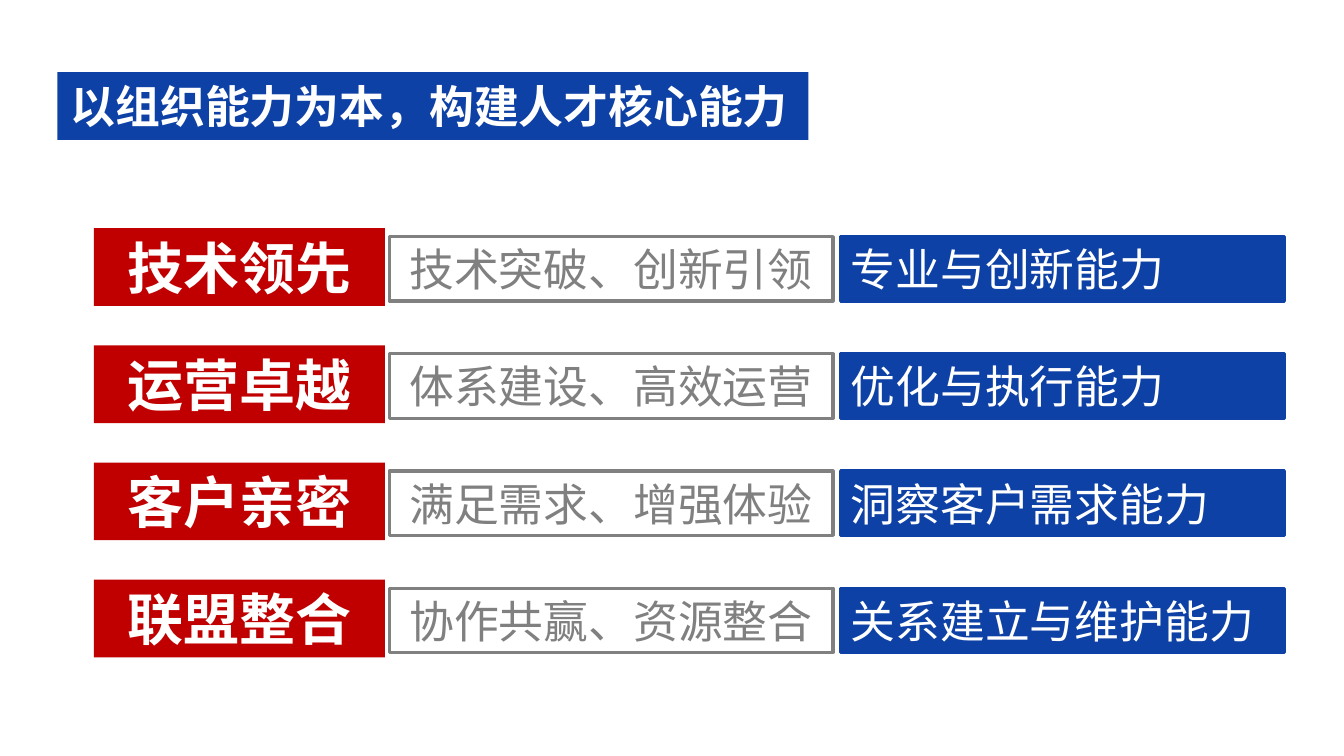
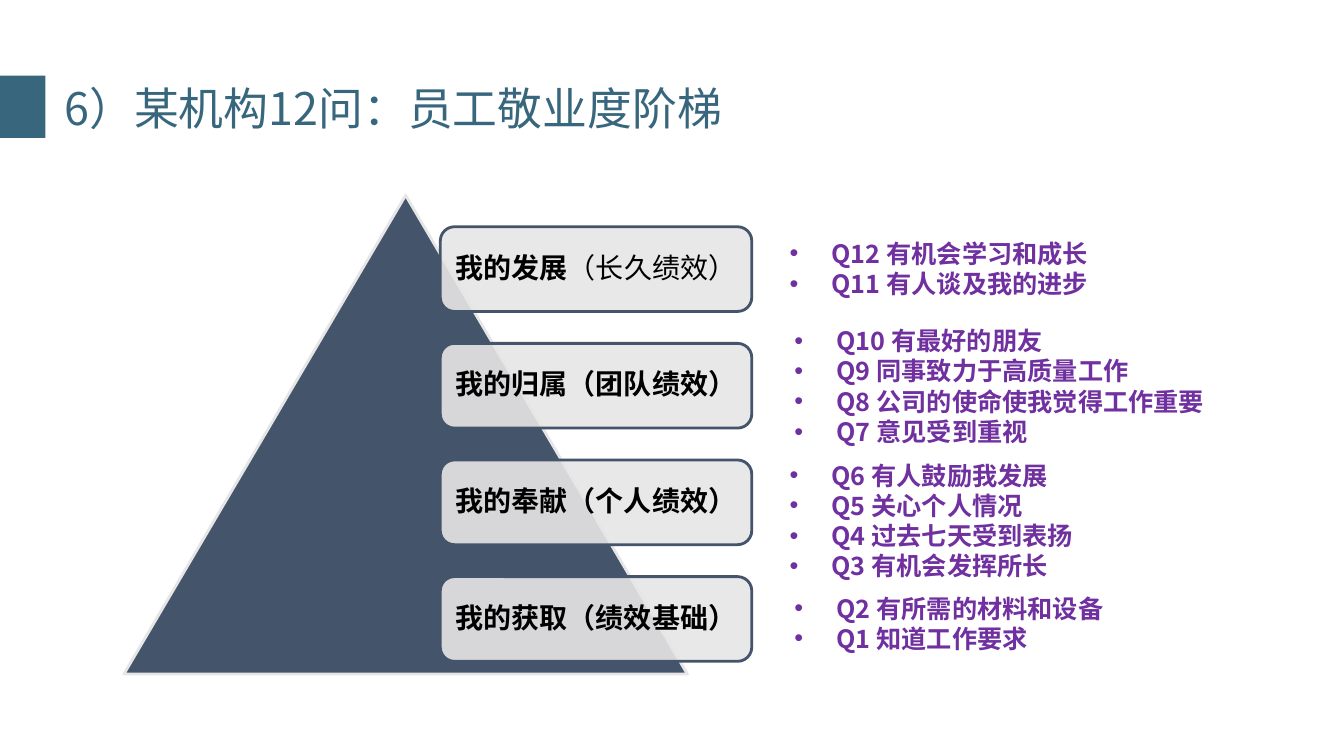
from lxml import etree
from pptx import Presentation
from pptx.dml.color import RGBColor
from pptx.enum import shapes, text
from pptx.oxml import ns
from pptx.util import Pt

FONT = "Noto Sans CJK SC"
TITLE_SIZE = 32
WHITE, BLACK, GREY = "FFFFFF", "000000", "808080"
BLUE, RED, PURPLE = "0E41A5", "C00000", "7030A0"
TEAL, SLATE, PALE = "37667D", "44546A", "E7E6E6"
LEFT, CENTER = text.PP_ALIGN.LEFT, text.PP_ALIGN.CENTER
RECT = shapes.MSO_SHAPE.RECTANGLE

STRATEGIES = [
    ("技术领先", "技术突破、创新引领", "专业与创新能力"),
    ("运营卓越", "体系建设、高效运营", "优化与执行能力"),
    ("客户亲密", "满足需求、增强体验", "洞察客户需求能力"),
    ("联盟整合", "协作共赢、资源整合", "关系建立与维护能力"),
]
# Each step: bold label, regular label, then the offset of its question list.
STEPS = [
    ("我的发展", "（长久绩效）", (554.5, 165), ["Q12 有机会学习和成长", "Q11 有人谈及我的进步"]),
    ("我的归属（团队绩效）", "", (558, 227.5),
     ["Q10 有最好的朋友", "Q9 同事致力于高质量工作", "Q8 公司的使命使我觉得工作重要", "Q7 意见受到重视"]),
    ("我的奉献（个人绩效）", "", (554.5, 323.5),
     ["Q6 有人鼓励我发展", "Q5 关心个人情况", "Q4 过去七天受到表扬", "Q3 有机会发挥所长"]),
    ("我的获取（绩效基础）", "", (558, 418.5), ["Q2 有所需的材料和设备", "Q1 知道工作要求"]),
]


def rgb(value):
    return RGBColor.from_string(value)


def sub(parent, tag, **attributes):
    return etree.SubElement(parent, ns.qn(tag), attributes)


def style_run(run, size, color, bold=False):
    run.font.size, run.font.bold = Pt(size), bold
    run.font.name = FONT
    run.font.color.rgb = rgb(color)
    sub(run.font._element, "a:ea", typeface=FONT)


def set_frame(frame, inset_x, inset_y, anchor, wrap=True):
    frame.margin_left = frame.margin_right = Pt(inset_x)
    frame.margin_top = frame.margin_bottom = Pt(inset_y)
    frame.vertical_anchor, frame.word_wrap = anchor, wrap


def add_box(slide, box, fill=None, line=None, line_width=2, kind=RECT):
    shape = slide.shapes.add_shape(kind, *map(Pt, box))
    shape.shadow.inherit = False
    if fill:
        shape.fill.solid()
        shape.fill.fore_color.rgb = rgb(fill)
    else:
        shape.fill.background()
    if line:
        shape.line.color.rgb = rgb(line)
        shape.line.width = Pt(line_width)
    else:
        shape.line.fill.background()
    return shape


def write_line(shape, words, size, color, bold=False, align=LEFT, inset=7.2, wrap=True):
    set_frame(shape.text_frame, inset, 0, text.MSO_ANCHOR.MIDDLE, wrap)
    paragraph = shape.text_frame.paragraphs[0]
    paragraph.text, paragraph.alignment = words, align
    style_run(paragraph.runs[0], size, color, bold)
    return paragraph


def add_strategy_row(slide, left, top, strategy, focus, ability):
    name = add_box(slide, (left, top, 208, 55.5), RED)
    write_line(name, strategy, 40, WHITE, True, CENTER)
    detail = (top + 6, 317, 46)
    middle = add_box(slide, (left + 211, *detail), line=GREY, line_width=2.25)
    write_line(middle, focus, 32, GREY, align=CENTER)
    right = add_box(slide, (left + 533.5, *detail), BLUE, BLUE, 2.25)
    write_line(right, ability, 32, WHITE)


def add_step_card(slide, box, bold_label, plain_label):
    card = add_box(slide, box, PALE, SLATE, kind=shapes.MSO_SHAPE.ROUNDED_RECTANGLE)
    color = card.fill._xPr.find(ns.qn("a:solidFill"))[0]
    sub(color, "a:alpha", val="90000")
    paragraph = write_line(card, bold_label, 20, BLACK, True, CENTER, inset=8)
    paragraph.line_spacing = 0.9
    if plain_label:
        run = paragraph.add_run()
        run.text = plain_label
        style_run(run, 20, BLACK)


def add_questions(slide, left, top, questions):
    line_height = 21.6
    box = slide.shapes.add_textbox(Pt(left), Pt(top), Pt(320), Pt(len(questions) * line_height + 10))
    set_frame(box.text_frame, 9.5, 5, text.MSO_ANCHOR.TOP)
    box.text_frame.text = "\n".join(questions)
    for paragraph in box.text_frame.paragraphs:
        properties = paragraph._p.get_or_add_pPr()
        properties.set("marL", str(Pt(30)))
        properties.set("indent", str(-Pt(30)))
        sub(properties, "a:buFont", typeface="Arial")
        sub(properties, "a:buChar", char="•")
        paragraph.line_spacing = Pt(line_height)
        style_run(paragraph.runs[0], 18, PURPLE, True)


def build_strategy_slide(slide):
    title = add_box(slide, (41, 51.5, 536.5, 48.5), BLUE)
    write_line(title, "以组织能力为本，构建人才核心能力", TITLE_SIZE, WHITE, True, inset=9.5, wrap=False)
    for index, strategy in enumerate(STRATEGIES):
        add_strategy_row(slide, 67, 163 + index * 83.7, *strategy)


def build_engagement_slide(slide):
    add_box(slide, (0, 54, 32.5, 44.5), TEAL)
    title = slide.shapes.add_textbox(Pt(39), Pt(54), Pt(540), Pt(46))
    write_line(title, "6）某机构12问：员工敬业度阶梯", TITLE_SIZE, TEAL)
    add_box(slide, (88.5, 139.5, 402.5, 342), SLATE, PALE, kind=shapes.MSO_SHAPE.ISOSCELES_TRIANGLE)
    for index, (bold_label, plain_label, position, questions) in enumerate(STEPS):
        add_step_card(slide, (314.5, 162 + index * 83.3, 222.5, 60.5), bold_label, plain_label)
        add_questions(slide, *position, questions)


def main():
    deck = Presentation()
    deck.slide_width, deck.slide_height = Pt(960), Pt(540)
    for build in (build_strategy_slide, build_engagement_slide):
        build(deck.slides.add_slide(deck.slide_layouts[6]))
    deck.save("out.pptx")


if __name__ == "__main__":
    main()
